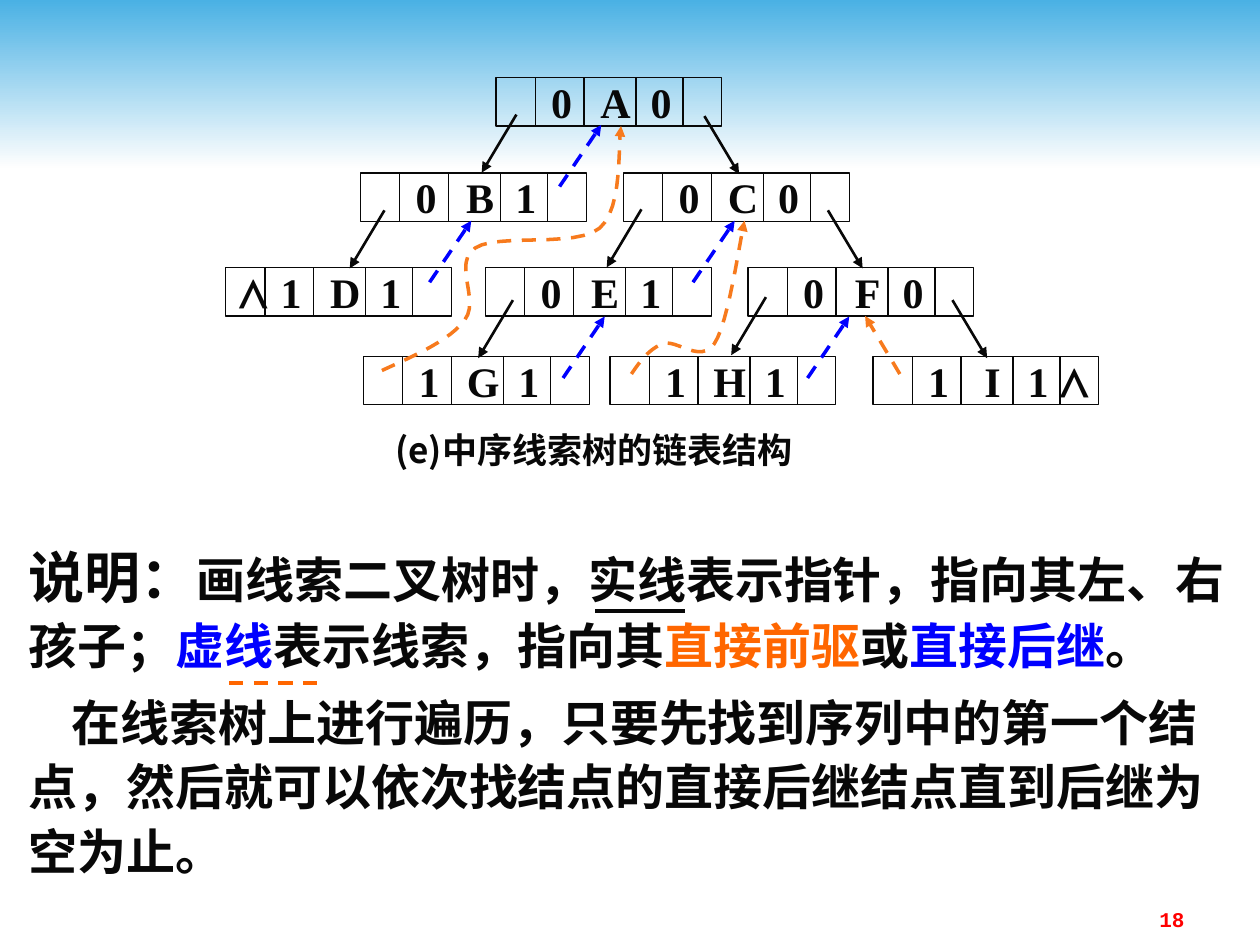
"""Build a slide showing the linked structure of an in-order threaded binary tree."""
from lxml import etree
from pptx import Presentation, util as u
from pptx.dml.color import RGBColor
from pptx.enum import dml, shapes, text
from pptx.oxml.ns import qn

COLOURS = {"ink": "080808", "blue": "0000FF", "thread": "F77A1D", "orange": "FF6600",
           "red": "FF0000", "sky": "4AB1E4", "white": "FEFEFE"}
SERIF, CJK, MONO = "Times New Roman", "Noto Sans CJK SC", "Courier New"

ROW_TOPS = [1.57, 3.49, 5.4, 7.19]
NODE_WIDTH, NODE_HEIGHT = 4.55, 0.97
DIVIDERS = [0.79, 1.77, 2.82, 3.77]
CELL_CENTRES = [0.56, 1.32, 2.41, 3.33, 4.06]
NODES = [
    (0, 10.0, ["", "0", "A", "0"]),
    (1, 7.27, ["", "0", "B", "1"]),
    (1, 12.57, ["", "0", "C", "0"]),
    (2, 4.55, ["⋀", "1", "D", "1"]),
    (2, 9.79, ["", "0", "E", "1"]),
    (2, 15.08, ["", "0", "F", "0"]),
    (3, 7.33, ["", "1", "G", "1"]),
    (3, 12.3, ["", "1", "H", "1"]),
    (3, 17.6, ["", "1", "I", "1", "⋀"]),
]
LINKS = [
    {"step": (-0.7, 1.17), "colour": "ink", "width": 1.5, "dash": False,
     "starts": [(10.41, 2.31), (7.75, 4.24), (12.93, 4.22), (10.34, 6.05), (15.44, 5.99)]},
    {"step": (0.7, 1.17), "colour": "ink", "width": 1.5, "dash": False,
     "starts": [(14.2, 2.34), (16.69, 4.24), (19.2, 6.05)]},
    {"step": (0.84, -1.24), "colour": "blue", "width": 2, "dash": True,
     "starts": [(8.66, 5.69), (11.28, 3.76), (11.35, 7.62), (13.97, 5.69), (16.28, 7.62)]},
    {"step": (-0.7, -1.17), "colour": "thread", "width": 2, "dash": True,
     "starts": [(18.14, 7.54)]},
]
PREDECESSOR_CURVES = [
    [(7.7, 7.47), (8.38, 7.16), (9.07, 6.86), (9.37, 6.45), (9.68, 6.05), (9.12, 5.31),
     (9.58, 5.0), (10.03, 4.7), (11.61, 5.0), (12.09, 4.6), (12.57, 4.19), (12.45, 2.87),
     (12.52, 2.54)],
    [(12.73, 7.54), (12.9, 7.29), (13.08, 7.04), (13.36, 6.93), (13.64, 6.83), (14.12, 7.34),
     (14.4, 6.93), (14.68, 6.53), (14.91, 4.88), (15.01, 4.45)],
]
CAPTION = [[("(e)中序线索树的链表结构", 20, CJK, "ink")]]
EXPLANATION = [
    [("说明", 32, CJK, "ink"), ("：", 32, SERIF, "ink"),
     ("画线索二叉树时，实线表示指针，指向其左", 28, CJK, "ink"), ("、", 28, SERIF, "ink"),
     ("右孩子；", 28, CJK, "ink"), ("虚线", 28, CJK, "blue"),
     ("表示线索，指向其", 28, CJK, "ink"), ("直接前驱", 28, CJK, "orange"),
     ("或", 28, CJK, "ink"), ("直接后继", 28, CJK, "blue"), ("。", 28, CJK, "ink")],
    [("在线索树上进行遍历，只要先找到序列中的第一个结点，"
      "然后就可以依次找结点的直接后继结点直到后继为空为止。", 28, CJK, "ink")],
]
PAGE_NUMBER = [[("18", 12, MONO, "red")]]
UNDERLINES = [(12.0, 12.32, "ink", False), (4.62, 13.77, "orange", True)]
UNDERLINE_LENGTH = 1.8


def rgb(colour):
    return RGBColor.from_string(COLOURS[colour])


def style_line(part, colour, width, dash=False, arrow=False):
    part.line.color.rgb = rgb(colour)
    part.line.width = u.Pt(width)
    if dash:
        part.line.dash_style = dml.MSO_LINE.DASH
    if arrow:
        etree.SubElement(part.line._get_or_add_ln(), qn("a:tailEnd"), type="triangle")


def add_line(canvas, start, end, colour, width, dash=False, arrow=False):
    ends = [u.Cm(value) for value in (*start, *end)]
    line = canvas.add_connector(shapes.MSO_CONNECTOR.STRAIGHT, *ends)
    style_line(line, colour, width, dash, arrow)
    etree.SubElement(line._element.spPr, qn("a:effectLst"))


def add_run(paragraph, words, size, font, colour):
    run = paragraph.add_run()
    run.text = words
    run.font.size, run.font.bold, run.font.name = u.Pt(size), True, font
    run.font.color.rgb = rgb(colour)
    east_asian = CJK if font == SERIF else font
    etree.SubElement(run._r.get_or_add_rPr(), qn("a:ea"), typeface=east_asian)


def add_text(canvas, place, paragraphs, wrap=True):
    frame = canvas.add_textbox(*map(u.Cm, place)).text_frame
    frame.word_wrap = wrap
    for index, runs in enumerate(paragraphs):
        paragraph = frame.add_paragraph() if index else frame.paragraphs[0]
        for run in runs:
            add_run(paragraph, *run)
    return frame


def add_node(canvas, row, left, cells):
    top = ROW_TOPS[row]
    node = canvas.add_shape(shapes.MSO_SHAPE.RECTANGLE,
                            *map(u.Cm, (left, top, NODE_WIDTH, NODE_HEIGHT)))
    node.shadow.inherit = False
    node.fill.background()
    style_line(node, "ink", 0.75)
    frame = node.text_frame
    frame.margin_left = frame.margin_right = frame.margin_top = frame.margin_bottom = 0
    frame.vertical_anchor = text.MSO_ANCHOR.MIDDLE
    paragraph = frame.paragraphs[0]
    paragraph.alignment = text.PP_ALIGN.LEFT
    stops = etree.SubElement(paragraph._p.get_or_add_pPr(), qn("a:tabLst"))
    for centre in CELL_CENTRES:
        etree.SubElement(stops, qn("a:tab"), pos=str(u.Cm(centre)), algn="ctr")
    add_run(paragraph, "".join("\t" + cell for cell in cells), 24, SERIF, "ink")
    for offset in DIVIDERS:
        add_line(canvas, (left + offset, top), (left + offset, top + NODE_HEIGHT), "ink", 0.75)


def bezier(p0, p1, p2, p3, steps=12):
    for step in range(1, steps + 1):
        t = step / steps
        weights = ((1 - t) ** 3, 3 * t * (1 - t) ** 2, 3 * t * t * (1 - t), t ** 3)
        yield tuple(u.Cm(sum(w * value for w, value in zip(weights, axis)))
                    for axis in zip(p0, p1, p2, p3))


def add_curve(canvas, knots):
    outline = canvas.build_freeform(*map(u.Cm, knots[0]))
    for first in range(0, len(knots) - 1, 3):
        outline.add_line_segments(list(bezier(*knots[first:first + 4])), close=False)
    curve = outline.convert_to_shape()
    curve.shadow.inherit = False
    curve.fill.background()
    style_line(curve, "thread", 2, dash=True, arrow=True)


def add_sky(canvas):
    sky = canvas.add_shape(shapes.MSO_SHAPE.RECTANGLE, 0, 0, u.Cm(25.4), u.Cm(3.38))
    sky.shadow.inherit = False
    sky.line.fill.background()
    sky.fill.gradient()
    sky.fill.gradient_angle = 270
    for stop, colour in zip(sky.fill.gradient_stops, ("sky", "white")):
        stop.color.rgb = rgb(colour)


def main():
    deck = Presentation()
    deck.slide_width, deck.slide_height = u.Cm(25.4), u.Cm(19.05)
    slide = deck.slides.add_slide(deck.slide_layouts[6])
    add_sky(slide.shapes)

    tree = slide.shapes.add_group_shape().shapes
    for node in NODES:
        add_node(tree, *node)
    for link in LINKS:
        for x, y in link["starts"]:
            dx, dy = link["step"]
            add_line(tree, (x, y), (x + dx, y + dy), link["colour"], link["width"],
                     link["dash"], arrow=True)
    for knots in PREDECESSOR_CURVES:
        add_curve(tree, knots)
    caption = add_text(tree, (7.72, 8.56, 8.79, 0.99), CAPTION, wrap=False)
    caption.vertical_anchor = text.MSO_ANCHOR.MIDDLE

    explanation = add_text(slide.shapes, (0.33, 10.67, 24.69, 7.21), EXPLANATION)
    for paragraph in explanation.paragraphs:
        paragraph.line_spacing = 1.1
    second = explanation.paragraphs[1]
    second.space_before = u.Pt(7)
    second._p.get_or_add_pPr().set("indent", str(u.Cm(0.87)))
    for x, y, colour, dash in UNDERLINES:
        add_line(slide.shapes, (x, y), (x + UNDERLINE_LENGTH, y), colour, 2, dash)
    page = add_text(slide.shapes, (18.21, 18.16, 5.92, 0.69), PAGE_NUMBER)
    page.paragraphs[0].alignment = text.PP_ALIGN.RIGHT
    deck.save("out.pptx")


if __name__ == "__main__":
    main()
